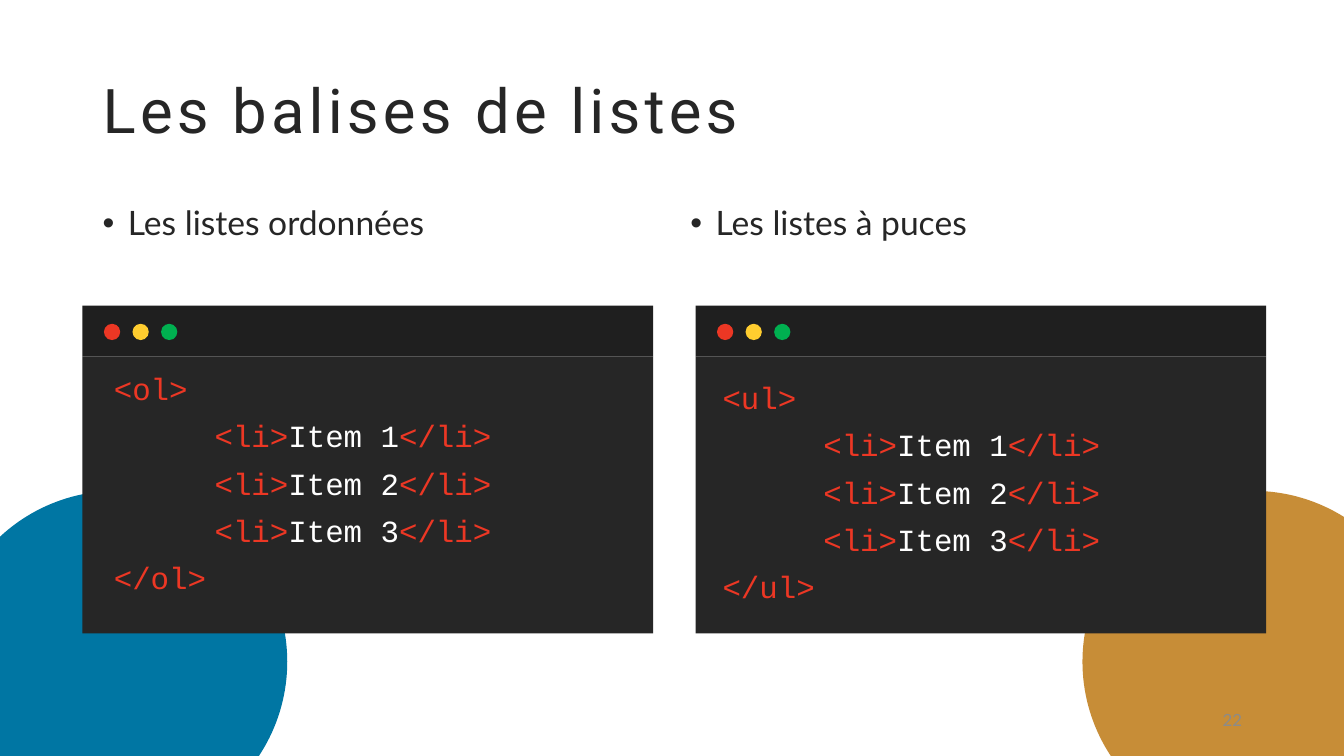
from dataclasses import dataclass

from lxml.etree import SubElement
from pptx import Presentation
from pptx.dml.color import RGBColor
from pptx.enum.shapes import MSO_SHAPE
from pptx.enum.text import MSO_ANCHOR, PP_ALIGN
from pptx.oxml.ns import qn
from pptx.util import Cm, Pt

INK, RED, WHITE = "262626", "EC3724", "FFFFFF"
DOT_COLORS = (RED, "FFCD2F", "00B050")
WINDOW_TOP, BAR_HEIGHT = 7.7, 1.28
WINDOW_WIDTH, CODE_HEIGHT = 14.38, 6.98
DOT_SIZE, DOT_PITCH = 0.41, 0.72
HEADING_TOP, HEADING_WIDTH, HEADING_HEIGHT = 5.08, 14.4, 1.35


@dataclass
class Circle:
    left: float
    color: str
    opacity: int = 100


@dataclass
class ListExample:
    heading: str
    tag: str
    heading_left: float
    window_left: float
    code_box: tuple[float, float, float, float]


CIRCLES = (Circle(-1.37, "0076A3"), Circle(27.28, "BA7106", 80))
EXAMPLES = (
    ListExample("Les listes à puces", "ul", 17.15, 17.53, (17.96, 9.53, 13.56, 6.1)),
    ListExample("Les listes ordonnées", "ol", 2.34, 2.08, (2.62, 9.3, 12.27, 6.32)),
)


def rgb(color: str) -> RGBColor:
    return RGBColor.from_string(color)


def add_filled(shapes, kind, left: float, top: float, width: float, height: float,
               color: str, opacity: int = 100) -> None:
    shape = shapes.add_shape(kind, Cm(left), Cm(top), Cm(width), Cm(height))
    shape.shadow.inherit = False
    shape.line.fill.background()
    shape.fill.solid()
    shape.fill.fore_color.rgb = rgb(color)
    if opacity < 100:
        tint = shape.fill._xPr.find(qn("a:solidFill"))[0]
        SubElement(tint, qn("a:alpha"), val=str(opacity * 1000))


def add_text(shapes, box: tuple[float, float, float, float], lines, *, font: str,
             size: float, color: str = INK, anchor=MSO_ANCHOR.TOP,
             align=PP_ALIGN.LEFT, tracking: float = 0, bullet: bool = False,
             indent: float = 0) -> None:
    """Each line is a list of (text, color) runs, or a plain string.

    Lines made of runs are indented by the given length.
    """
    frame = shapes.add_textbox(*(Cm(length) for length in box)).text_frame
    frame.word_wrap = True
    frame.vertical_anchor = anchor
    for number, line in enumerate(lines):
        paragraph = frame.paragraphs[0] if number == 0 else frame.add_paragraph()
        paragraph.alignment = align
        paragraph.line_spacing = 0.9
        paragraph.space_before = Pt(10 if number else 0)
        properties = paragraph._p.get_or_add_pPr()
        if bullet:
            properties.set("marL", str(Cm(0.635)))
            properties.set("indent", str(Cm(-0.635)))
            SubElement(properties, qn("a:buFont"), typeface="Arial")
            SubElement(properties, qn("a:buChar"), char="•")
        elif indent and not isinstance(line, str):
            properties.set("marL", str(Cm(indent)))
        for text, run_color in [(line, color)] if isinstance(line, str) else line:
            run = paragraph.add_run()
            run.text = text
            run.font.name = font
            run.font.size = Pt(size)
            run.font.color.rgb = rgb(run_color)
            if tracking:
                run.font._element.set("spc", str(round(tracking * 100)))


def add_window(slide, left: float) -> None:
    window = slide.shapes.add_group_shape().shapes
    add_filled(window, MSO_SHAPE.RECTANGLE, left, WINDOW_TOP + BAR_HEIGHT,
               WINDOW_WIDTH, CODE_HEIGHT, INK)
    add_filled(window, MSO_SHAPE.RECTANGLE, left, WINDOW_TOP,
               WINDOW_WIDTH, BAR_HEIGHT, "1F1F1F")
    for number, color in enumerate(DOT_COLORS):
        add_filled(window, MSO_SHAPE.OVAL, left + 0.54 + number * DOT_PITCH,
                   WINDOW_TOP + 0.46, DOT_SIZE, DOT_SIZE, color)


def add_example(slide, example: ListExample) -> None:
    add_window(slide, example.window_left)
    heading_box = (example.heading_left, HEADING_TOP, HEADING_WIDTH, HEADING_HEIGHT)
    add_text(slide.shapes, heading_box, [example.heading],
             font="Lato", size=24, bullet=True)
    items = [[("<li>", RED), (f"Item {number}", WHITE), ("</li>", RED)]
             for number in range(1, 4)]
    add_text(slide.shapes, example.code_box,
             [f"<{example.tag}>", *items, f"</{example.tag}>"],
             font="Courier New", size=22, color=RED, indent=2.54)


def main() -> None:
    presentation = Presentation()
    presentation.slide_width, presentation.slide_height = Cm(33.87), Cm(19.05)
    slide = presentation.slides.add_slide(presentation.slide_layouts[6])

    # Background circles
    for circle in CIRCLES:
        add_filled(slide.shapes, MSO_SHAPE.OVAL, circle.left, 12.37, 8.61, 8.61,
                   circle.color, circle.opacity)

    # Title
    add_text(slide.shapes, (2.34, 1.02, 29.21, 3.68), ["Les balises de listes"],
             font="Roboto", size=44, anchor=MSO_ANCHOR.MIDDLE, tracking=3)

    # List examples with their code windows
    for example in EXAMPLES:
        add_example(slide, example)

    # Slide number
    add_text(slide.shapes, (23.93, 17.66, 7.62, 1.01), ["22"], font="Lato", size=12,
             color="8B8B8B", anchor=MSO_ANCHOR.MIDDLE, align=PP_ALIGN.RIGHT)

    presentation.save("out.pptx")


if __name__ == "__main__":
    main()
